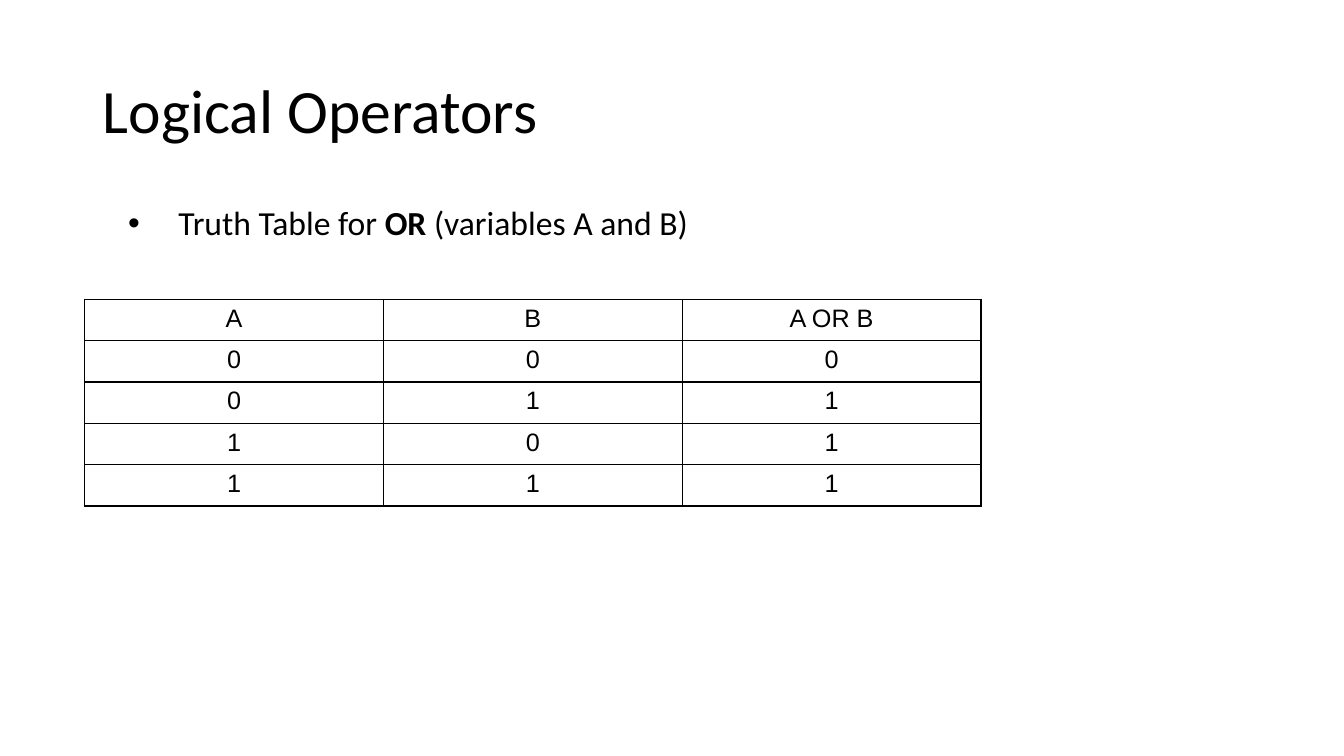
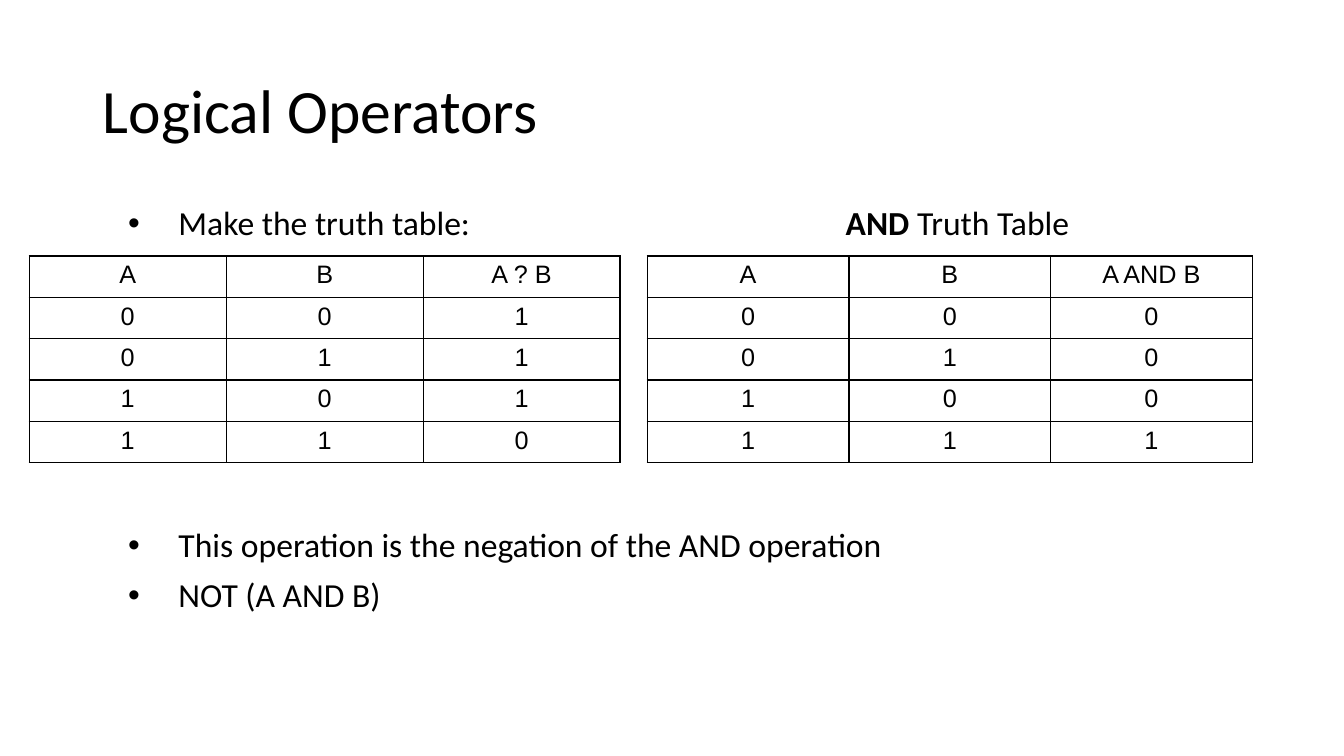
from itertools import product

from lxml.etree import SubElement
from pptx import Presentation
from pptx.dml.color import RGBColor
from pptx.enum.text import MSO_ANCHOR, MSO_AUTO_SIZE, PP_ALIGN
from pptx.oxml.ns import qn
from pptx.util import Inches, Pt

BLACK = RGBColor(0x00, 0x00, 0x00)
TEXT_FONT, TABLE_FONT = "Calibri", "Arial"
TITLE_BOX = (0.92, 0.4, 11.5, 1.45)
BODY_BOX = (0.92, 2, 11.5, 4.76)
ROW_HEIGHT = 0.41
BORDER = Pt(1)


def place(shape, box):
    shape.left, shape.top, shape.width, shape.height = map(Inches, box)


def style_paragraph(paragraph, size, space_before=0):
    paragraph.alignment = PP_ALIGN.LEFT
    paragraph.line_spacing = 0.9
    paragraph.space_before = Pt(space_before)
    paragraph.font.name = TEXT_FONT
    paragraph.font.size = Pt(size)
    paragraph.font.color.rgb = BLACK


def add_runs(paragraph, text):
    """Write text in which parts between asterisks are bold."""
    for position, part in enumerate(text.split("*")):
        if part:
            run = paragraph.add_run()
            run.text = part
            if position % 2:
                run.font.bold = True


def add_operator_slide(prs, bullets):
    """Add a titled slide; bullets are pairs of text and space before."""
    slide = prs.slides.add_slide(prs.slide_layouts[1])
    title, body = slide.shapes.title, slide.placeholders[1]
    place(title, TITLE_BOX)
    title.text_frame.text = "Logical Operators"
    title.text_frame.vertical_anchor = MSO_ANCHOR.MIDDLE
    style_paragraph(title.text_frame.paragraphs[0], 44)

    place(body, BODY_BOX)
    frame = body.text_frame
    frame.auto_size = MSO_AUTO_SIZE.NONE
    for index, (text, space_before) in enumerate(bullets):
        paragraph = frame.add_paragraph() if index else frame.paragraphs[0]
        properties = paragraph._p.get_or_add_pPr()
        properties.set("marL", str(Inches(0.75)))
        properties.set("indent", str(Inches(-0.5)))
        style_paragraph(paragraph, 24, space_before)
        add_runs(paragraph, text)
    return slide


def add_caption(slide, text, box):
    caption = slide.shapes.add_textbox(*map(Inches, box))
    caption.text_frame.word_wrap = True
    paragraph = caption.text_frame.paragraphs[0]
    style_paragraph(paragraph, 24)
    add_runs(paragraph, text)


def style_cell(cell, text):
    cell.text = text
    paragraph = cell.text_frame.paragraphs[0]
    paragraph.alignment = PP_ALIGN.CENTER
    paragraph.font.name = TABLE_FONT
    paragraph.font.size = Pt(18)
    paragraph.font.color.rgb = BLACK
    properties = cell._tc.get_or_add_tcPr()
    for side in ("lnL", "lnR", "lnT", "lnB"):
        line = SubElement(properties, qn(f"a:{side}"), w=str(BORDER))
        fill = SubElement(line, qn("a:solidFill"))
        SubElement(fill, qn("a:srgbClr"), val=str(BLACK))
    cell.fill.background()


def add_truth_table(slide, heading, operation, left, top, width):
    rows = [("A", "B", heading)]
    rows += [(a, b, int(operation(a, b))) for a, b in product((0, 1), repeat=2)]
    table = slide.shapes.add_table(
        len(rows), 3, Inches(left), Inches(top),
        Inches(width), Inches(ROW_HEIGHT * len(rows))).table
    table.first_row = table.horz_banding = False
    for row_index, row in enumerate(rows):
        for column, value in enumerate(row):
            style_cell(table.cell(row_index, column), str(value))


def add_or_slide(prs):
    slide = add_operator_slide(
        prs, [("Truth Table for *OR *(variables A and B)", 0)])
    add_truth_table(slide, "A OR B", lambda a, b: a or b, 0.84, 2.97, 8.89)


def add_negated_and_slide(prs):
    slide = add_operator_slide(prs, [
        ("Make the truth table:", 0),
        ("This operation is the negation of the AND operation", 204),
        ("NOT (A AND B)", 10),
    ])
    add_caption(slide, "*AND *Truth Table", (8.29, BODY_BOX[1], 3.5, 0.5))
    add_truth_table(slide, "A ? B", lambda a, b: not (a and b), 0.29, 2.54, 5.86)
    add_truth_table(slide, "A AND B", lambda a, b: a and b, 6.42, 2.54, 6)


def main():
    prs = Presentation()
    prs.slide_width, prs.slide_height = Inches(13.33), Inches(7.5)
    add_or_slide(prs)
    add_negated_and_slide(prs)
    prs.save("out.pptx")


if __name__ == "__main__":
    main()
